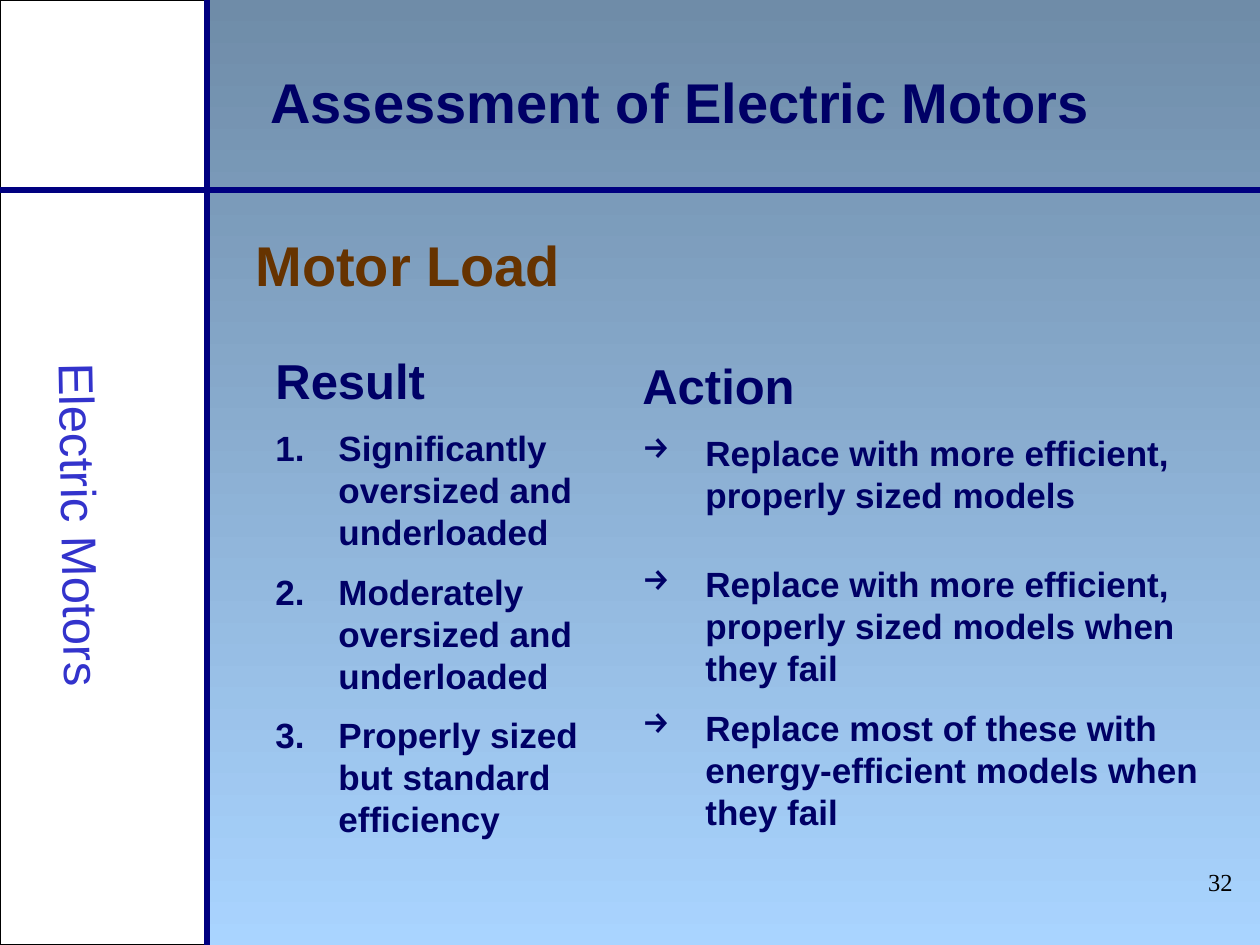
from dataclasses import dataclass

from lxml import etree
from pptx import Presentation
from pptx.dml.color import RGBColor
from pptx.enum import shapes, text
from pptx.util import Emu, Pt

WIDTH, HEIGHT = 1260, 945
NAVY, INK = "000080", "000066"
HANG = 63


def px(n: int) -> Emu:
    return Emu(round(n * 914400 / 126))


def rgb(value: str) -> RGBColor:
    return RGBColor.from_string(value)


@dataclass
class Label:
    text: str
    box: tuple[int, int, int, int]
    size: int
    color: str
    bold: bool = True
    font: str = "Arial"
    align: text.PP_ALIGN = text.PP_ALIGN.LEFT
    anchor: text.MSO_ANCHOR = text.MSO_ANCHOR.TOP
    rotation: int = 0


@dataclass
class Item:
    text: str
    before: int = 10


@dataclass
class Column:
    heading: Label
    items: list[Item]
    bullet: tuple[str, str, str]  # tag, attribute, value


def style(p, label: Label, size: int) -> None:
    p.alignment = label.align
    for r in p.runs:
        r.font.name, r.font.size, r.font.bold = label.font, Pt(size), label.bold
        r.font.color.rgb = rgb(label.color)


def add_label(s, label: Label):
    sp = s.shapes.add_textbox(*map(px, label.box))
    sp.rotation = label.rotation
    tf = sp.text_frame
    tf.word_wrap = True
    tf.vertical_anchor = label.anchor
    tf.text = label.text
    style(tf.paragraphs[0], label, label.size)
    return tf


def add_bullet(p, bullet: tuple[str, str, str]) -> None:
    tag, attribute, value = bullet
    pPr = p._p.get_or_add_pPr()
    pPr.set("marL", str(px(HANG)))
    pPr.set("indent", str(-px(HANG)))
    ns = pPr.nsmap["a"]
    color = etree.SubElement(pPr, f"{{{ns}}}buClr")
    etree.SubElement(color, f"{{{ns}}}srgbClr").set("val", INK)
    etree.SubElement(pPr, f"{{{ns}}}{tag}").set(attribute, value)


def add_column(s, column: Column) -> None:
    tf = add_label(s, column.heading)
    for item in column.items:
        p = tf.add_paragraph()
        p.text = item.text
        p.space_before = Pt(item.before)
        style(p, column.heading, 20)
        add_bullet(p, column.bullet)


def add_rule(s, x1: int, y1: int, x2: int, y2: int) -> None:
    line = s.shapes.add_connector(shapes.MSO_CONNECTOR.STRAIGHT, *map(px, (x1, y1, x2, y2)))
    line.line.color.rgb = rgb(NAVY)
    line.line.width = Pt(3)
    spPr = line._element.spPr
    etree.SubElement(spPr, f"{{{spPr.nsmap['a']}}}effectLst")


LABELS = [
    Label("32", (983, 861, 262, 63), 14, "000000", False, "Times New Roman", text.PP_ALIGN.RIGHT),
    Label("Motor Load", (243, 224, 993, 79), 32, "663300"),
    Label("Electric Motors", (-247, 455, 656, 139), 28, "3333CC", False,
          align=text.PP_ALIGN.CENTER, anchor=text.MSO_ANCHOR.MIDDLE, rotation=89),
    Label("Assessment of Electric Motors", (258, 62, 966, 79), 32, INK,
          anchor=text.MSO_ANCHOR.MIDDLE),
]

COLUMNS = [
    Column(
        Label("Result", (263, 344, 387, 513), 28, INK),
        [Item("Significantly oversized and underloaded"),
         Item("Moderately oversized and underloaded"),
         Item("Properly sized but standard efficiency")],
        ("buAutoNum", "type", "arabicPeriod"),
    ),
    Column(
        Label("Action", (630, 349, 596, 513), 28, INK),
        [Item("Replace with more efficient, properly sized models"),
         Item("Replace with more efficient, properly sized models when they fail", 27),
         Item("Replace most of these with energy-efficient models when they fail")],
        ("buChar", "char", "→"),
    ),
]


def main() -> None:
    prs = Presentation()
    prs.slide_width, prs.slide_height = px(WIDTH), px(HEIGHT)
    s = prs.slides.add_slide(prs.slide_layouts[6])

    # Background, light at the bottom
    fill = s.background.fill
    fill.gradient()
    fill.gradient_angle = 270
    for stop, (position, color) in zip(fill.gradient_stops, [(0, "6F8CA8"), (1, "A9D4FF")]):
        stop.position = position
        stop.color.rgb = rgb(color)

    # Side panel and crossing rules
    panel = s.shapes.add_shape(shapes.MSO_SHAPE.RECTANGLE, 0, 0, px(205), px(HEIGHT))
    panel.shadow.inherit = False
    panel.fill.solid()
    panel.fill.fore_color.rgb = rgb("FFFFFF")
    panel.line.color.rgb = rgb("000000")
    panel.line.width = Pt(0.75)
    add_rule(s, 207, 0, 207, HEIGHT)
    add_rule(s, 0, 190, WIDTH, 190)

    # Text
    for label in LABELS:
        add_label(s, label)
    for column in COLUMNS:
        add_column(s, column)

    prs.save("out.pptx")


if __name__ == "__main__":
    main()
